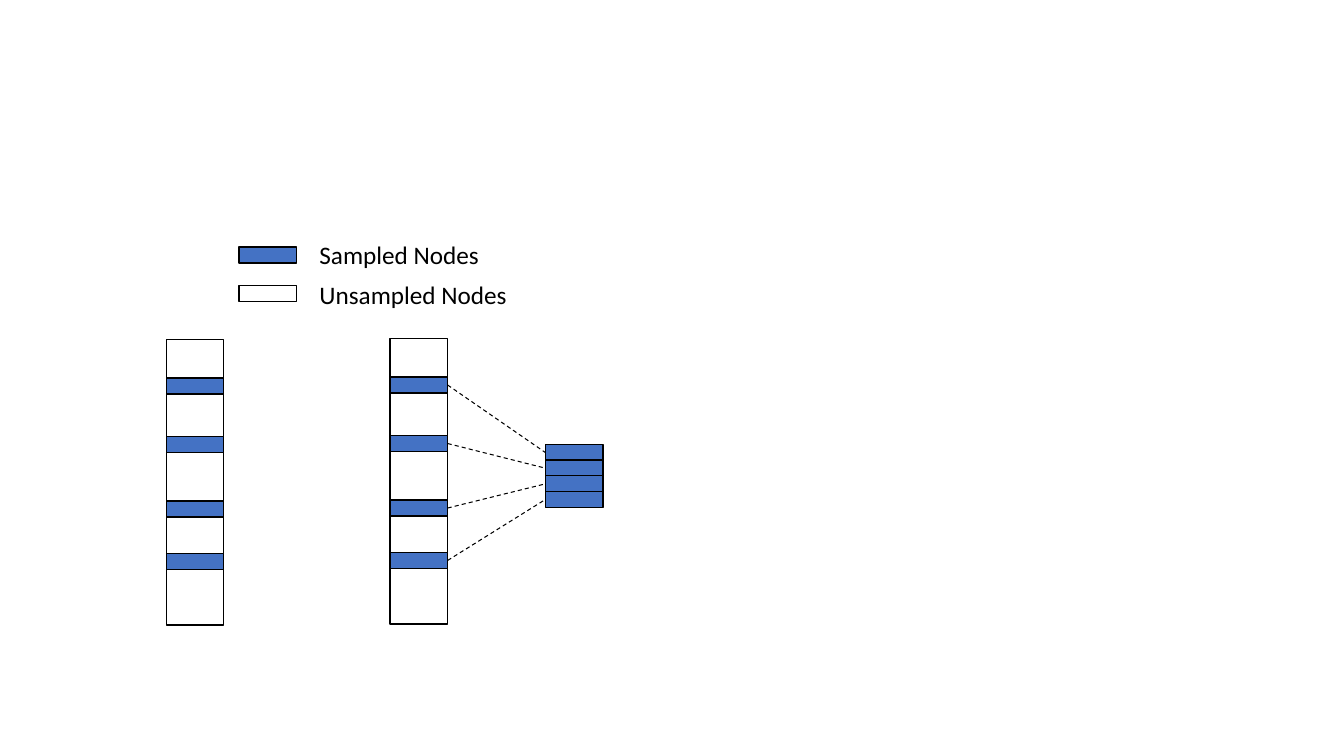
from lxml.etree import SubElement
from pptx import Presentation
from pptx.dml.color import RGBColor
from pptx.enum.dml import MSO_LINE
from pptx.enum.shapes import MSO_CONNECTOR, MSO_SHAPE
from pptx.enum.text import MSO_AUTO_SIZE
from pptx.oxml.ns import qn
from pptx.util import Inches, Pt

BLUE = RGBColor(0x44, 0x72, 0xC4)
BLACK = RGBColor(0, 0, 0)

NODE_WIDTH, NODE_HEIGHT = 0.57, 0.16
COLUMN_HEIGHT = 2.83
COLUMNS = [(1.65, 3.37), (3.87, 3.36)]  # left, top
SAMPLE_OFFSETS = [0.38, 0.96, 1.6, 2.12]  # below the top of a column
STACK_LEFT, STACK_TOP, STACK_STEP = 5.41, 4.41, 0.155
LEGEND = [  # label, label width, label top, swatch top, swatch fill
    ("Sampled Nodes", 1.8, 2.33, 2.45, BLUE),
    ("Unsampled Nodes", 2.08, 2.72, 2.83, None),
]
SWATCH_LEFT, LABEL_LEFT, LABEL_HEIGHT = 2.37, 3.07, 0.4


def add_node(shapes, left, top, height=NODE_HEIGHT, fill=BLUE):
    node = shapes.add_shape(MSO_SHAPE.RECTANGLE, Inches(left), Inches(top),
                            Inches(NODE_WIDTH), Inches(height))
    node.shadow.inherit = False
    if fill is None:
        node.fill.background()
    else:
        node.fill.solid()
        node.fill.fore_color.rgb = fill
    node.line.color.rgb = BLACK
    node.line.width = Pt(1)
    return node


def add_column(slide, left, top):
    """Draw a column of nodes and return its sampled ones."""
    shapes = slide.shapes.add_group_shape().shapes
    add_node(shapes, left, top, COLUMN_HEIGHT, None)
    return [add_node(shapes, left, top + offset) for offset in SAMPLE_OFFSETS]


def add_dashed_link(slide, source, target):
    link = slide.shapes.add_connector(MSO_CONNECTOR.STRAIGHT, 0, 0, 0, 0)
    link.begin_connect(source, 3)
    link.end_connect(target, 1)
    link.line.color.rgb = BLACK
    link.line.width = Pt(0.75)
    link.line.dash_style = MSO_LINE.DASH
    SubElement(link._element.spPr, qn("a:effectLst"))


def add_label(slide, text, top, width):
    box = slide.shapes.add_textbox(Inches(LABEL_LEFT), Inches(top),
                                   Inches(width), Inches(LABEL_HEIGHT))
    frame = box.text_frame
    frame.text = text
    frame.word_wrap = False
    frame.auto_size = MSO_AUTO_SIZE.SHAPE_TO_FIT_TEXT
    font = frame.paragraphs[0].runs[0].font
    font.name = "Calibri"
    font.size = Pt(18)
    font.color.rgb = BLACK


def main():
    deck = Presentation()
    deck.slide_width, deck.slide_height = Inches(13.33), Inches(7.5)
    slide = deck.slides.add_slide(deck.slide_layouts[6])

    columns = [add_column(slide, left, top) for left, top in COLUMNS]
    stack_shapes = slide.shapes.add_group_shape().shapes
    stack = [add_node(stack_shapes, STACK_LEFT, STACK_TOP + index * STACK_STEP)
             for index in range(len(SAMPLE_OFFSETS))]
    for source, target in zip(columns[-1], stack):
        add_dashed_link(slide, source, target)

    for text, width, label_top, swatch_top, fill in LEGEND:
        add_node(slide.shapes, SWATCH_LEFT, swatch_top, fill=fill)
        add_label(slide, text, label_top, width)

    deck.save("out.pptx")


if __name__ == "__main__":
    main()
